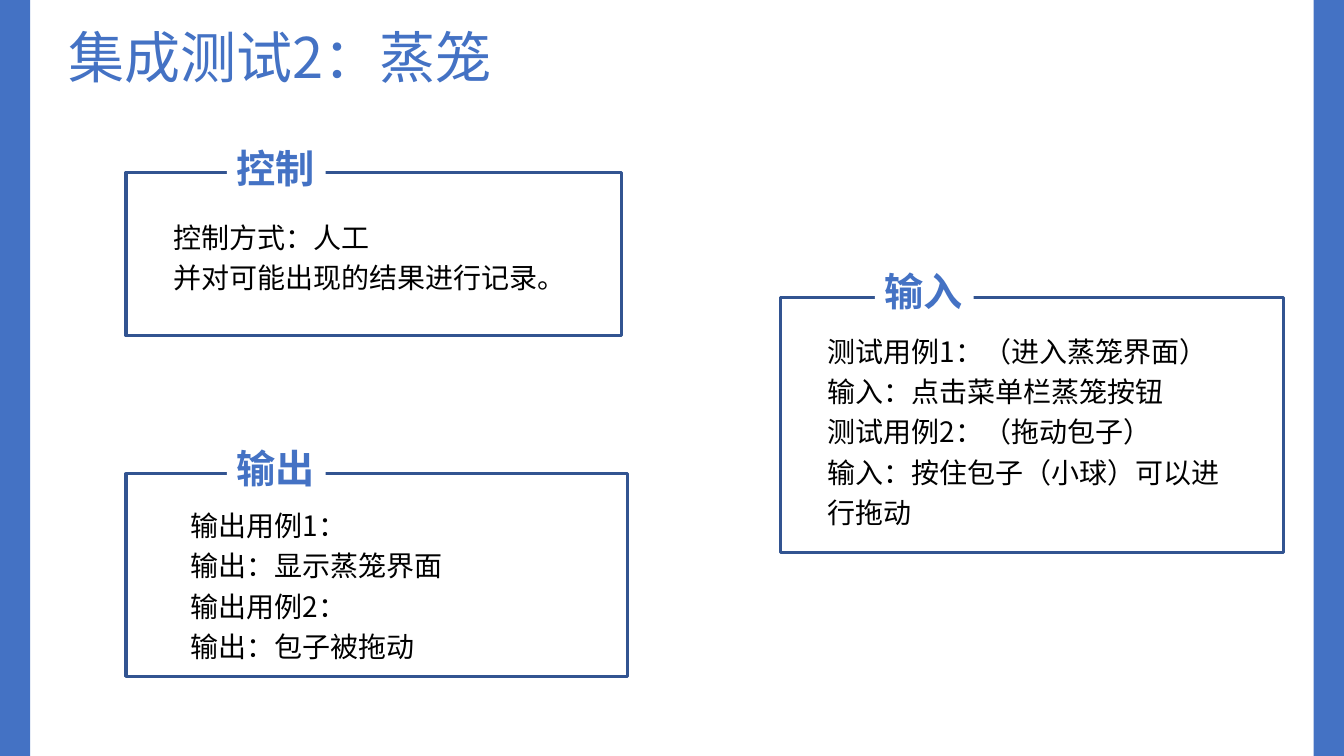
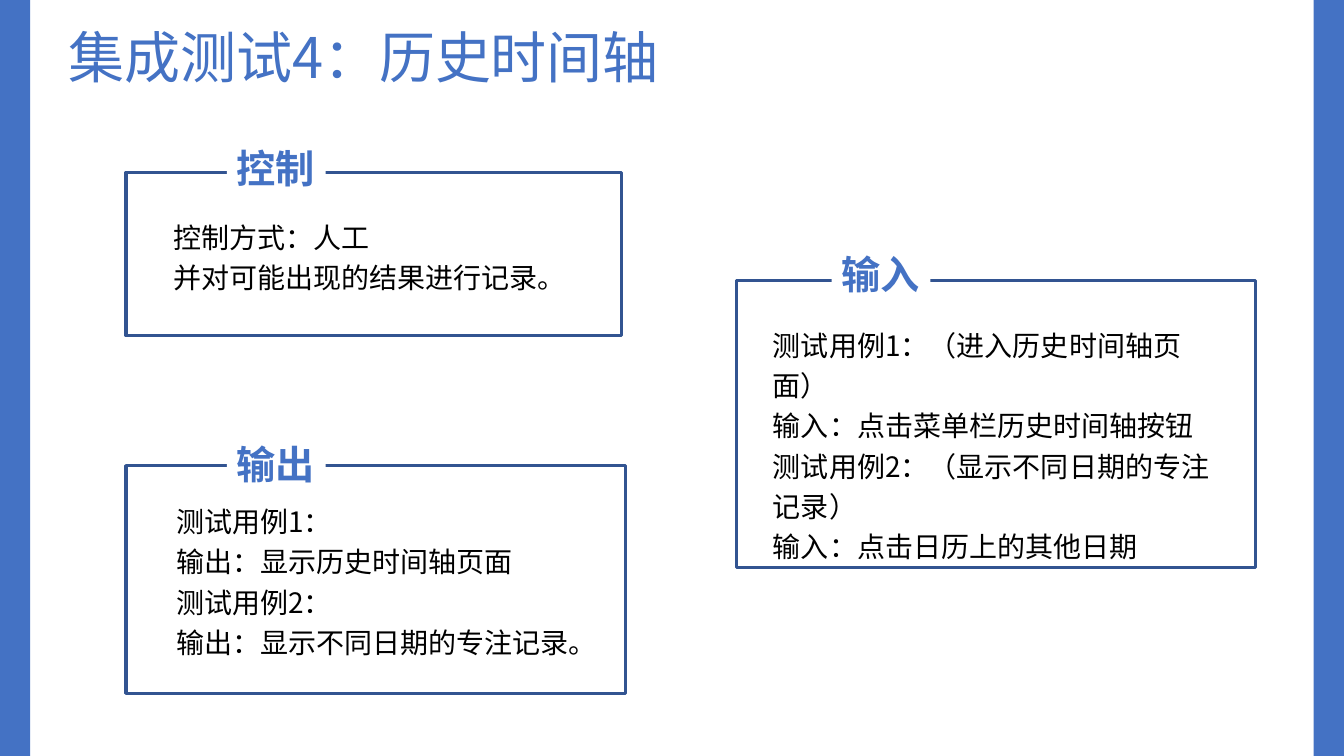
"""Build two integration test slides with framed control, input and output panels."""
from dataclasses import dataclass

from lxml import etree
from pptx import Presentation
from pptx import util as u
from pptx.dml.color import RGBColor
from pptx.enum import shapes, text
from pptx.oxml.ns import qn

COLORS = {"accent": "4472C4", "frame": "325491", "ink": "000000", "white": "FFFFFF"}
FONT = "Noto Sans CJK SC"
SLIDE_W, SLIDE_H, BAND_W = 960, 540, 21.6
LABEL_W, LABEL_H = 70.56, 41.04


@dataclass(frozen=True)
class Box:
    left: float
    top: float
    width: float
    height: float

    def lengths(self) -> tuple:
        return tuple(u.Pt(v) for v in (self.left, self.top, self.width, self.height))


@dataclass(frozen=True)
class TextStyle:
    size: int
    color: str
    bold: bool = False
    spacing: float = 1.0


@dataclass(frozen=True)
class Panel:
    label: str
    label_left: float
    label_top: float
    frame: Box
    body: Box
    lines: tuple[str, ...]


@dataclass(frozen=True)
class TestCase:
    title: str
    title_width: float
    panels: tuple[Panel, ...]


TITLE = TextStyle(40, "accent")
LABEL = TextStyle(28, "accent", bold=True)
BODY = TextStyle(20, "ink", spacing=1.2)

CONTROL = Panel(
    "控制", 162, 99.36, Box(90, 123.12, 354.24, 116.64), Box(116.64, 149.04, 300.96, 65.52),
    ("控制方式：人工", "并对可能出现的结果进行记录。"),
)

TEST_CASES = (
    TestCase("集成测试2：蒸笼", 385.92, (
        Panel("输出", 162, 313.92, Box(90, 338.4, 358.56, 144.72),
              Box(128.88, 354.96, 277.2, 123.84),
              ("输出用例1：", "输出：显示蒸笼界面", "输出用例2：", "输出：包子被拖动")),
        Panel("输入", 624.96, 187.2, Box(557.28, 212.4, 359.28, 182.16),
              Box(583.92, 230.4, 313.92, 152.64),
              ("测试用例1：（进入蒸笼界面）", "输入：点击菜单栏蒸笼按钮",
               "测试用例2：（拖动包子）", "输入：按住包子（小球）可以进行拖动")),
        CONTROL,
    )),
    TestCase("集成测试4：历史时间轴", 444.24, (
        Panel("输出", 162, 311.04, Box(90, 332.64, 357.12, 162.72),
              Box(118.8, 352.08, 297.36, 123.84),
              ("测试用例1：", "输出：显示历史时间轴页面",
               "测试用例2：", "输出：显示不同日期的专注记录。")),
        Panel("输入", 594, 174.96, Box(526.32, 200.16, 370.8, 205.2),
              Box(545.04, 226.08, 332.64, 152.64),
              ("测试用例1：（进入历史时间轴页面）", "输入：点击菜单栏历史时间轴按钮",
               "测试用例2：（显示不同日期的专注记录）", "输入：点击日历上的其他日期")),
        CONTROL,
    )),
)


def rgb(name: str) -> RGBColor:
    return RGBColor.from_string(COLORS[name])


def write(shape, lines: tuple[str, ...], style: TextStyle, wrap: bool = True) -> None:
    frame = shape.text_frame
    frame.word_wrap = wrap
    frame.auto_size = text.MSO_AUTO_SIZE.SHAPE_TO_FIT_TEXT
    frame.vertical_anchor = text.MSO_ANCHOR.TOP
    frame.text = "\n".join(lines)
    for paragraph in frame.paragraphs:
        paragraph.alignment = text.PP_ALIGN.LEFT
        paragraph.line_spacing = style.spacing
        font = paragraph.font
        font.name, font.size, font.bold = FONT, u.Pt(style.size), style.bold
        font.color.rgb = rgb(style.color)
        defaults = paragraph._p.pPr.find(qn("a:defRPr"))
        etree.SubElement(defaults, qn("a:ea"), typeface=FONT)


def add_rectangle(slide, box: Box, fill: str = "", line: str = ""):
    rectangle = slide.shapes.add_shape(shapes.MSO_SHAPE.RECTANGLE, *box.lengths())
    rectangle.shadow.inherit = False
    if fill:
        rectangle.fill.solid()
        rectangle.fill.fore_color.rgb = rgb(fill)
    else:
        rectangle.fill.background()
    if line:
        rectangle.line.color.rgb = rgb(line)
        rectangle.line.width = u.Pt(2.25)
    else:
        rectangle.line.fill.background()
    return rectangle


def add_text(slide, box: Box, lines: tuple[str, ...], style: TextStyle) -> None:
    write(slide.shapes.add_textbox(*box.lengths()), lines, style)


def add_panel(slide, panel: Panel) -> None:
    add_rectangle(slide, panel.frame, line="frame")
    label_box = Box(panel.label_left, panel.label_top, LABEL_W, LABEL_H)
    label = add_rectangle(slide, label_box, fill="white")
    write(label, (panel.label,), LABEL, wrap=False)
    add_text(slide, panel.body, panel.lines, BODY)


def add_test_case(deck, case: TestCase) -> None:
    slide = deck.slides.add_slide(deck.slide_layouts[6])
    for left in (0, SLIDE_W - BAND_W):
        add_rectangle(slide, Box(left, 0, BAND_W, SLIDE_H), fill="accent")
    add_text(slide, Box(41.76, 12.24, case.title_width, 55.44), (case.title,), TITLE)
    for panel in case.panels:
        add_panel(slide, panel)


def main() -> None:
    deck = Presentation()
    deck.slide_width, deck.slide_height = u.Pt(SLIDE_W), u.Pt(SLIDE_H)
    for case in TEST_CASES:
        add_test_case(deck, case)
    deck.save("out.pptx")


if __name__ == "__main__":
    main()
